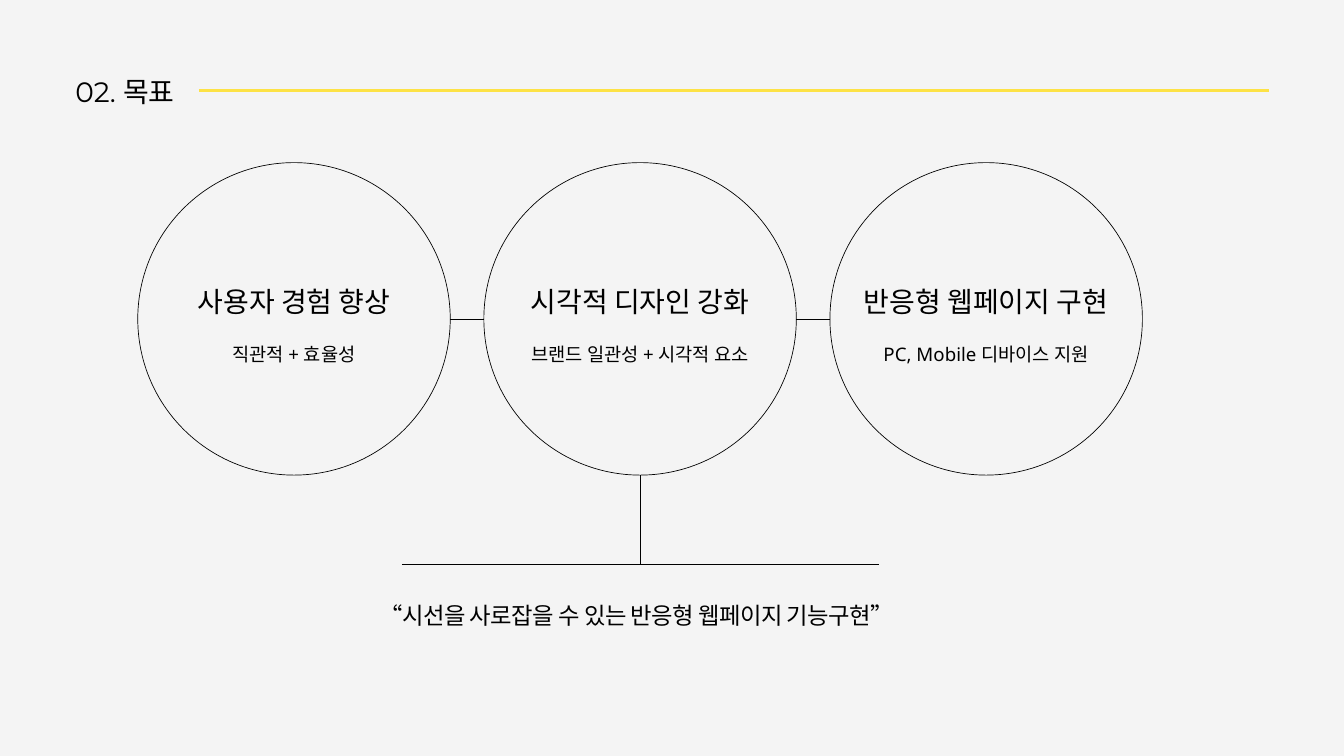
from lxml.etree import SubElement
from pptx import Presentation
from pptx.dml.color import RGBColor
from pptx.enum.shapes import MSO_CONNECTOR, MSO_SHAPE
from pptx.enum.text import MSO_ANCHOR, MSO_AUTO_SIZE, PP_ALIGN
from pptx.oxml.ns import qn
from pptx.util import Inches, Pt

COLORS = {"background": "F4F4F4", "ink": "000000", "accent": "FDE245"}


def write_text(box, text, *, font, size, line_spacing, align=PP_ALIGN.CENTER, tracking=None):
    frame = box.text_frame
    frame.word_wrap = True
    frame.auto_size = MSO_AUTO_SIZE.NONE
    frame.vertical_anchor = MSO_ANCHOR.TOP
    frame.margin_left = frame.margin_right = frame.margin_top = frame.margin_bottom = 0
    para = frame.paragraphs[0]
    para.alignment = align
    para.line_spacing = Pt(line_spacing)
    span = para.add_run()
    span.text = text
    span.font.name = font
    span.font.size = Pt(size)
    span.font.color.rgb = RGBColor.from_string(COLORS["ink"])
    if tracking is not None:
        span._r.get_or_add_rPr().set("spc", str(int(tracking * 100)))


def draw_line(page, start, end, color="ink", width=0.75):
    line = page.shapes.add_connector(
        MSO_CONNECTOR.STRAIGHT, *(Inches(value) for value in (*start, *end)))
    line.line.color.rgb = RGBColor.from_string(COLORS[color])
    line.line.width = Pt(width)
    SubElement(line._element.spPr, qn("a:effectLst"))


deck = Presentation()
deck.slide_width, deck.slide_height = Inches(20), Inches(11.25)
page = deck.slides.add_slide(deck.slide_layouts[5])
page.background.fill.solid()
page.background.fill.fore_color.rgb = RGBColor.from_string(COLORS["background"])

# Title and accent rule
title = page.shapes.title
title.left, title.top = Inches(1.12), Inches(1.17)
title.width, title.height = Inches(6.42), Inches(0.45)
write_text(title, "02. 목표", font="Montserrat", size=30, line_spacing=31.8,
           align=PP_ALIGN.LEFT)
draw_line(page, (2.96, 1.35), (18.88, 1.35), color="accent", width=3)

# Goal circles with heading and detail
goals = [
    ("사용자 경험 향상", "직관적 + 효율성"),
    ("시각적 디자인 강화", "브랜드 일관성 + 시각적 요소"),
    ("반응형 웹페이지 구현", "PC, Mobile 디바이스 지원"),
]
diameter, gap = 4.65, 0.5
first_left, circle_top = 2.05, 2.42
middle = circle_top + diameter / 2
text_width = 3.7

for index, (heading, detail) in enumerate(goals):
    left = first_left + index * (diameter + gap)
    circle = page.shapes.add_shape(
        MSO_SHAPE.OVAL, Inches(left), Inches(circle_top), Inches(diameter), Inches(diameter))
    circle.shadow.inherit = False
    circle.fill.background()
    circle.line.color.rgb = RGBColor.from_string(COLORS["ink"])
    circle.line.width = Pt(0.75)

    text_left = left + (diameter - text_width) / 2
    for text, top, height, style in (
        (heading, 4.24, 0.51, {"font": "Calibri", "size": 30, "line_spacing": 36}),
        (detail, 5.02, 0.41, {"font": "Noto Sans", "size": 20, "line_spacing": 30}),
    ):
        box = page.shapes.add_textbox(
            Inches(text_left), Inches(top), Inches(text_width), Inches(height))
        write_text(box, text, **style)

    # Link to the next circle
    if index < len(goals) - 1:
        draw_line(page, (left + diameter, middle), (left + diameter + gap, middle))

# Stem and base line under the middle circle
center, base = 9.53, 8.4
draw_line(page, (center, base), (center, circle_top + diameter))
draw_line(page, (center - 3.55, base), (center + 3.55, base))

# Closing statement
statement = page.shapes.add_textbox(Inches(0.6), Inches(8.97), Inches(17.75), Inches(0.4))
write_text(statement, "“시선을 사로잡을 수 있는 반응형 웹페이지 기능구현”",
           font="Noto Sans CJK KR", size=25, line_spacing=28.7, tracking=-0.5)

deck.save("out.pptx")
